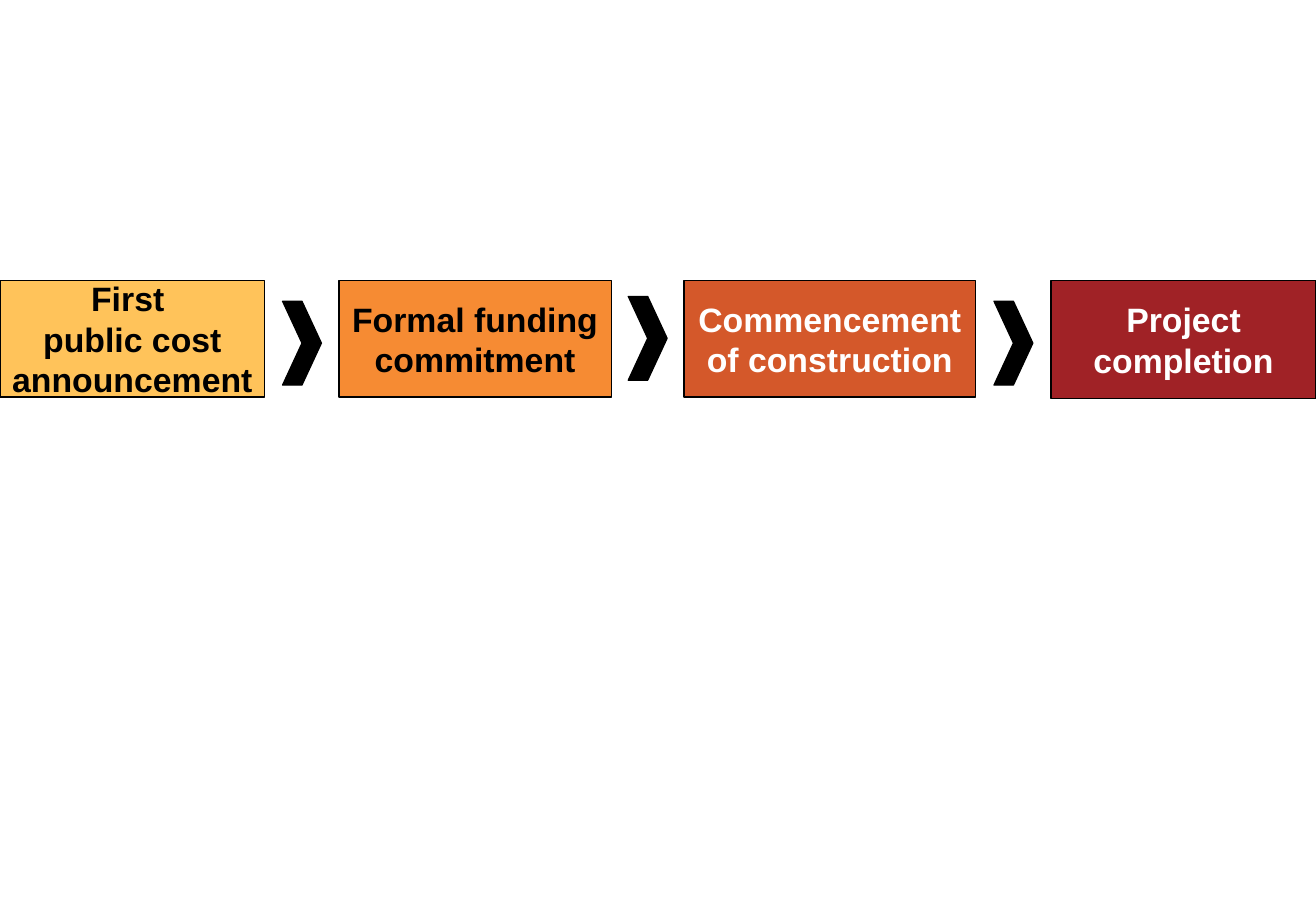
import itertools

import pptx
import pptx.dml.color
import pptx.enum.shapes
import pptx.enum.text
import pptx.util
from pptx.util import Inches

COLORS = {
    "black": "000000",
    "white": "FFFFFF",
    "announcement": "FFC35A",
    "commitment": "F68B33",
    "construction": "D4582A",
    "completion": "A02226",
}
SHAPES = pptx.enum.shapes.MSO_SHAPE
STAGE_TOP = 2.31
CHEVRON_WIDTH, CHEVRON_HEIGHT = 0.32, 0.69

# Wording, left, width, height, fill, text colour
STAGES = [
    ("First \vpublic cost announcement", 0, 2.18, 0.96, "announcement", "black"),
    ("Formal funding commitment", 2.79, 2.24, 0.96, "commitment", "black"),
    ("Commencement of construction", 5.63, 2.4, 0.96, "construction", "white"),
    ("Project completion", 8.65, 2.18, 0.97, "completion", "white"),
]
CHEVRON_TOPS = [2.48, 2.44, 2.48]


def rgb(color):
    return pptx.dml.color.RGBColor.from_string(COLORS[color])


def add_outlined_shape(slide, kind, left, top, width, height, fill):
    shape = slide.shapes.add_shape(
        kind, Inches(left), Inches(top), Inches(width), Inches(height)
    )
    shape.shadow.inherit = False
    shape.fill.solid()
    shape.fill.fore_color.rgb = rgb(fill)
    shape.line.color.rgb = rgb("black")
    shape.line.width = pptx.util.Pt(0.75)
    return shape


def write_text(shape, text, *, color, size=20, bold=True, font="Arial"):
    frame = shape.text_frame
    frame.word_wrap = True
    frame.vertical_anchor = pptx.enum.text.MSO_ANCHOR.MIDDLE
    frame.margin_left = frame.margin_right = Inches(0.08)
    frame.text = text
    paragraph = frame.paragraphs[0]
    paragraph.alignment = pptx.enum.text.PP_ALIGN.CENTER
    for run in paragraph.runs:
        run.font.name = font
        run.font.size = pptx.util.Pt(size)
        run.font.bold = bold
        run.font.color.rgb = rgb(color)


def add_stage(slide, wording, left, width, height, fill, text_color):
    stage = add_outlined_shape(
        slide, SHAPES.RECTANGLE, left, STAGE_TOP, width, height, fill
    )
    write_text(stage, wording, color=text_color)


def add_chevron_between(slide, stage, next_stage, top):
    """Centre a chevron in the gap between two neighbouring stages."""
    gap_start = stage[1] + stage[2]
    gap_end = next_stage[1]
    left = (gap_start + gap_end - CHEVRON_WIDTH) / 2
    add_outlined_shape(
        slide, SHAPES.CHEVRON, left, top, CHEVRON_WIDTH, CHEVRON_HEIGHT, "black"
    )


def main():
    presentation = pptx.Presentation()
    presentation.slide_width = Inches(10.83)
    presentation.slide_height = Inches(7.5)
    slide = presentation.slides.add_slide(presentation.slide_layouts[6])

    for stage in STAGES:
        add_stage(slide, *stage)
    for (stage, next_stage), top in zip(itertools.pairwise(STAGES), CHEVRON_TOPS):
        add_chevron_between(slide, stage, next_stage, top)

    presentation.save("out.pptx")


if __name__ == "__main__":
    main()
